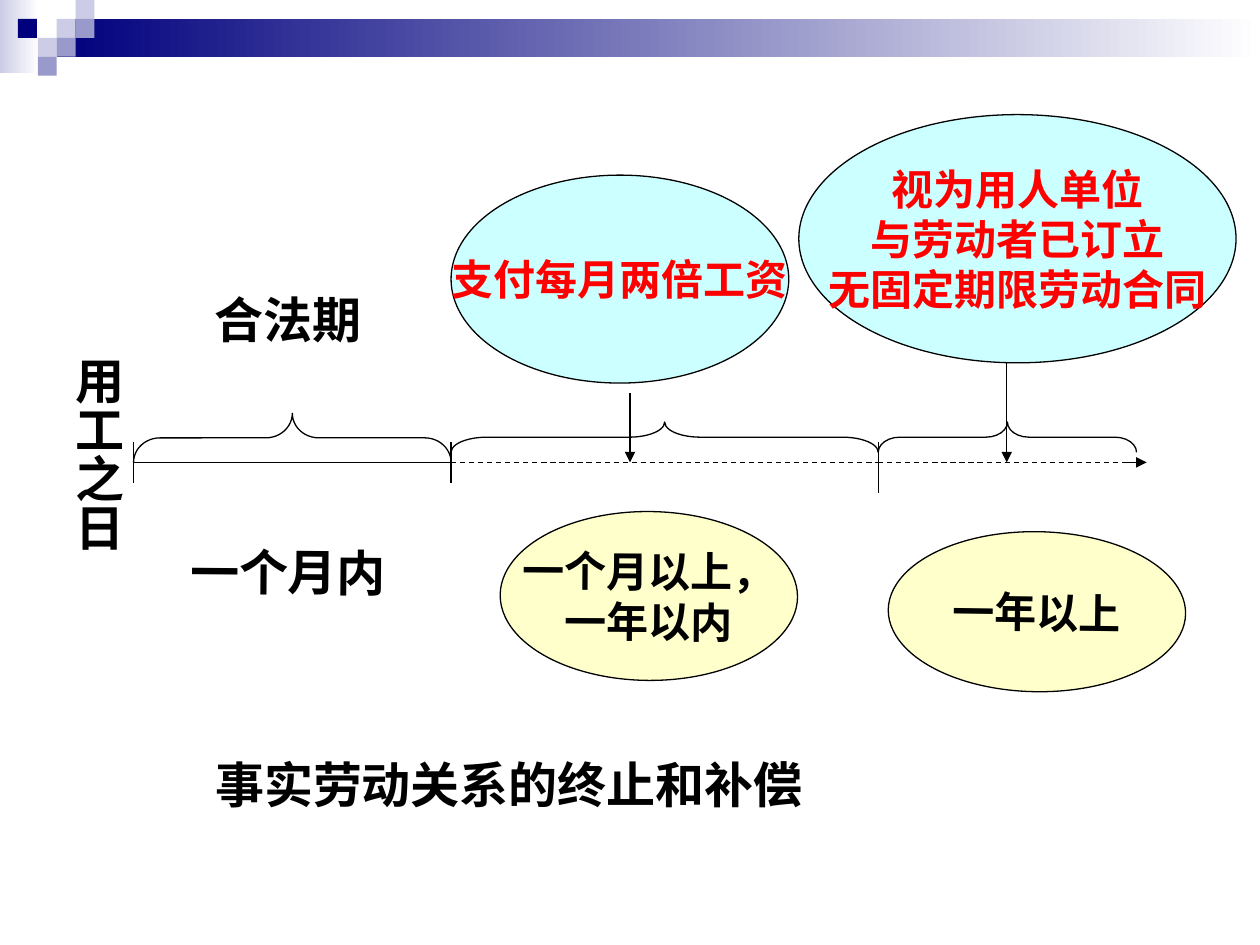
import pptx
import pptx.util
import pptx.dml.color
import pptx.enum.dml
import pptx.enum.shapes
import pptx.enum.text
import pptx.oxml.xmlchemy

SHAPES = pptx.enum.shapes.MSO_SHAPE
ALIGN = pptx.enum.text.PP_ALIGN
ANCHOR = pptx.enum.text.MSO_ANCHOR
INCH = pptx.util.Inches
CHINESE_FONT = "Noto Sans CJK SC"
BLACK, RED = "000000", "FF0000"
NAVY, VIOLET, LILAC = "00007D", "9999CC", "CCCCE6"
CYAN, CREAM = "CCFFFF", "FFFFCC"
UNIT = 0.15
AXIS = 3.67
START, MONTH, YEAR, END = 1.06, 3.58, 6.97, 9.02


def color(value):
    return pptx.dml.color.RGBColor.from_string(value)


def add_xml(parent, tag, **attributes):
    element = pptx.oxml.xmlchemy.OxmlElement(tag)
    for name, value in attributes.items():
        element.set(name, value)
    parent.append(element)


def add_shape(page, kind, left, top, width, height, fill=None, outline=None):
    shape = page.shapes.add_shape(kind, INCH(left), INCH(top), INCH(width), INCH(height))
    shape.shadow.inherit = False
    if fill:
        shape.fill.solid()
        shape.fill.fore_color.rgb = color(fill)
    else:
        shape.fill.background()
    if outline:
        shape.line.color.rgb = color(outline)
        shape.line.width = pptx.util.Pt(0.75)
    else:
        shape.line.fill.background()
    return shape


def add_gradient(page, left, top, width, height, start):
    bar = add_shape(page, SHAPES.RECTANGLE, left, top, width, height, start)
    bar.fill.gradient()
    bar.fill.gradient_angle = 0
    for stop, value in zip(bar.fill.gradient_stops, (start, "FFFFFF")):
        stop.color.rgb = color(value)


def write(frame, lines, size, ink=BLACK, align=ALIGN.CENTER, latin="Arial"):
    for index, line in enumerate(lines):
        para = frame.add_paragraph() if index else frame.paragraphs[0]
        para.text = line
        para.alignment = align
        para.font.name = latin
        para.font.size = pptx.util.Pt(size)
        para.font.bold = True
        para.font.color.rgb = color(ink)
        add_xml(para._p.pPr.defRPr, "a:ea", typeface=CHINESE_FONT)


def add_text(page, left, top, width, height, line, **style):
    box = page.shapes.add_textbox(INCH(left), INCH(top), INCH(width), INCH(height))
    box.text_frame.word_wrap = True
    write(box.text_frame, [line], 28, **style)
    return box.text_frame


def add_ellipse(page, left, top, width, height, lines, fill=None, ink=BLACK, size=24, tilt=0):
    outline = BLACK if fill else None
    ellipse = add_shape(page, SHAPES.OVAL, left, top, width, height, fill, outline)
    ellipse.rotation = tilt
    frame = ellipse.text_frame
    frame.word_wrap = False
    frame.vertical_anchor = ANCHOR.MIDDLE
    write(frame, lines, size, ink)
    return frame


def add_line(page, x1, y1, x2, y2, dashed=False, arrow=False):
    line = page.shapes.add_connector(
        pptx.enum.shapes.MSO_CONNECTOR.STRAIGHT, INCH(x1), INCH(y1), INCH(x2), INCH(y2))
    line.line.color.rgb = color(BLACK)
    line.line.width = pptx.util.Pt(0.75)
    if dashed:
        line.line.dash_style = pptx.enum.dml.MSO_LINE.DASH
    if arrow:
        add_xml(line.line._get_or_add_ln(), "a:tailEnd", type="triangle")
    add_xml(line._element.spPr, "a:effectLst")


def add_brace(page, start, end, top, depth):
    span = end - start
    left = (start + end - depth) / 2
    brace = add_shape(page, SHAPES.LEFT_BRACE, left, top + (depth - span) / 2,
                      depth, span, outline=BLACK)
    brace.adjustments[0] = span / 12 / depth
    brace.rotation = 90


def add_banner(page):
    add_gradient(page, 0, 0, 0.31, 0.58, LILAC)
    add_gradient(page, 3 * UNIT, UNIT, 10 - 3 * UNIT, 2 * UNIT, NAVY)
    tiles = [(3, 1, LILAC), (4, 0, LILAC), (4, 1, VIOLET), (2, 2, LILAC),
             (0.95, 1, NAVY), (3, 2, VIOLET), (2, 3, VIOLET)]
    for column, row, fill in tiles:
        add_shape(page, SHAPES.RECTANGLE, column * UNIT, row * UNIT, UNIT, UNIT, fill)


def add_timeline(page):
    add_line(page, START, AXIS, MONTH, AXIS)
    for start, end in ((MONTH, YEAR), (YEAR, END)):
        add_line(page, start, AXIS, end, AXIS, dashed=True)
    add_line(page, 8.94, AXIS, 9.1, AXIS, dashed=True, arrow=True)
    for x, bottom in ((START, 3.83), (MONTH, 3.83), (YEAR, 3.91)):
        add_line(page, x, 3.51, x, bottom)
    add_brace(page, START, MONTH, 3.28, 0.39)
    add_brace(page, MONTH, YEAR, 3.35, 0.24)
    add_brace(page, YEAR, END, 3.35, 0.24)


def main():
    deck = pptx.Presentation()
    deck.slide_width, deck.slide_height = INCH(10), INCH(7.5)
    page = deck.slides.add_slide(deck.slide_layouts[6])
    add_banner(page)
    add_timeline(page)

    add_text(page, 1.3, 2.25, 1.97, 0.57, "合法期")
    vertical = add_text(page, 0.4, 2.73, 0.66, 3.62, "用工之日")
    vertical._txBody.bodyPr.set("vert", "eaVert")
    vertical.margin_left = vertical.margin_right = INCH(0.05)
    vertical.margin_top = vertical.margin_bottom = INCH(0.1)

    add_ellipse(page, 3.58, 1.39, 2.68, 1.65, ["支付每月两倍工资"], CYAN, RED)
    add_ellipse(page, 6.34, 0.91, 3.47, 1.97,
                ["视为用人单位", "与劳动者已订立", "无固定期限劳动合同"], CYAN, RED)
    add_line(page, 5, 3.12, 5, AXIS, arrow=True)
    add_line(page, 7.99, 2.88, 7.99, AXIS, arrow=True)

    first = add_ellipse(page, 1.22, 3.83, 2.13, 1.86, ["一个月内"], size=28, tilt=0.5)
    first.margin_bottom = INCH(0.5)
    add_ellipse(page, 3.97, 4.06, 2.36, 1.34, ["一个月以上，", "一年以内"], CREAM, tilt=0.4)
    add_ellipse(page, 7.05, 4.22, 2.36, 1.27, ["一年以上"], CREAM, tilt=0.8)

    closing = add_text(page, 1.61, 5.8, 6.93, 0.71, "事实劳动关系的终止和补偿",
                       align=ALIGN.LEFT, latin=CHINESE_FONT)
    closing.paragraphs[0].line_spacing = 1.3
    deck.save("out.pptx")


if __name__ == "__main__":
    main()
